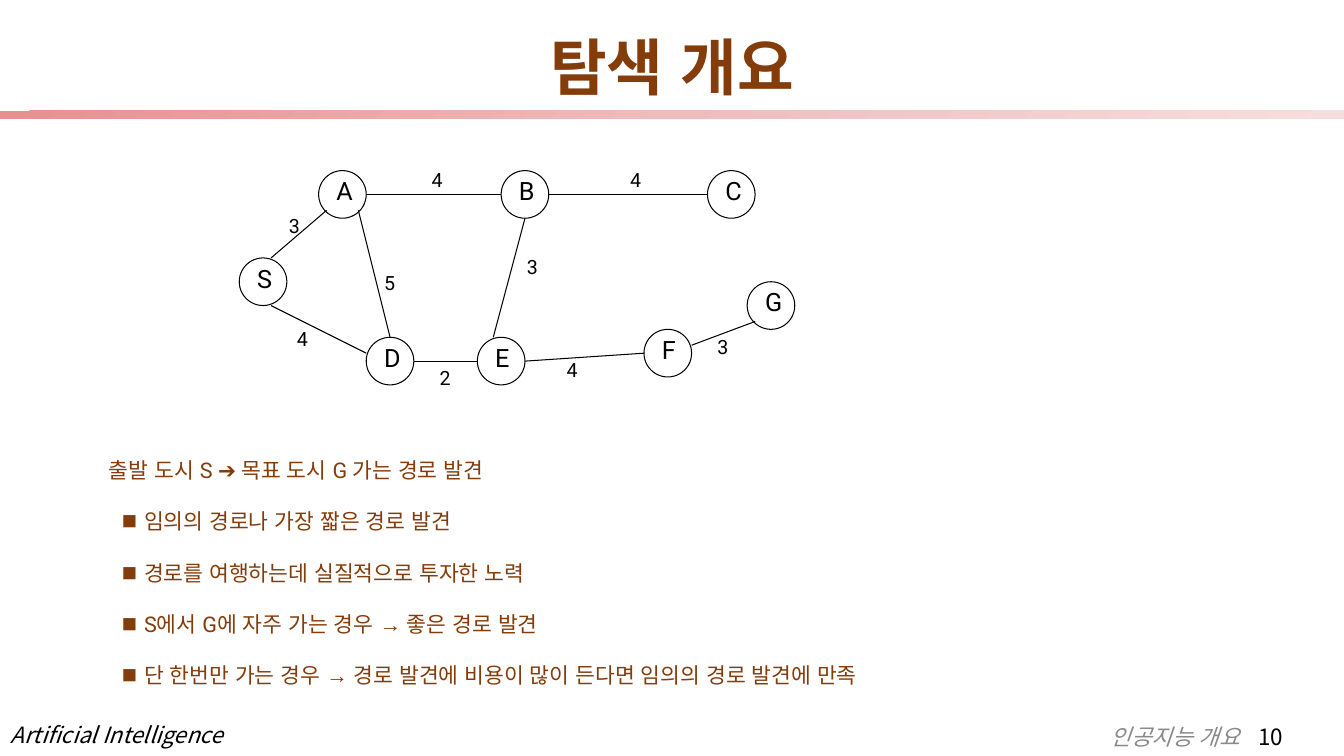
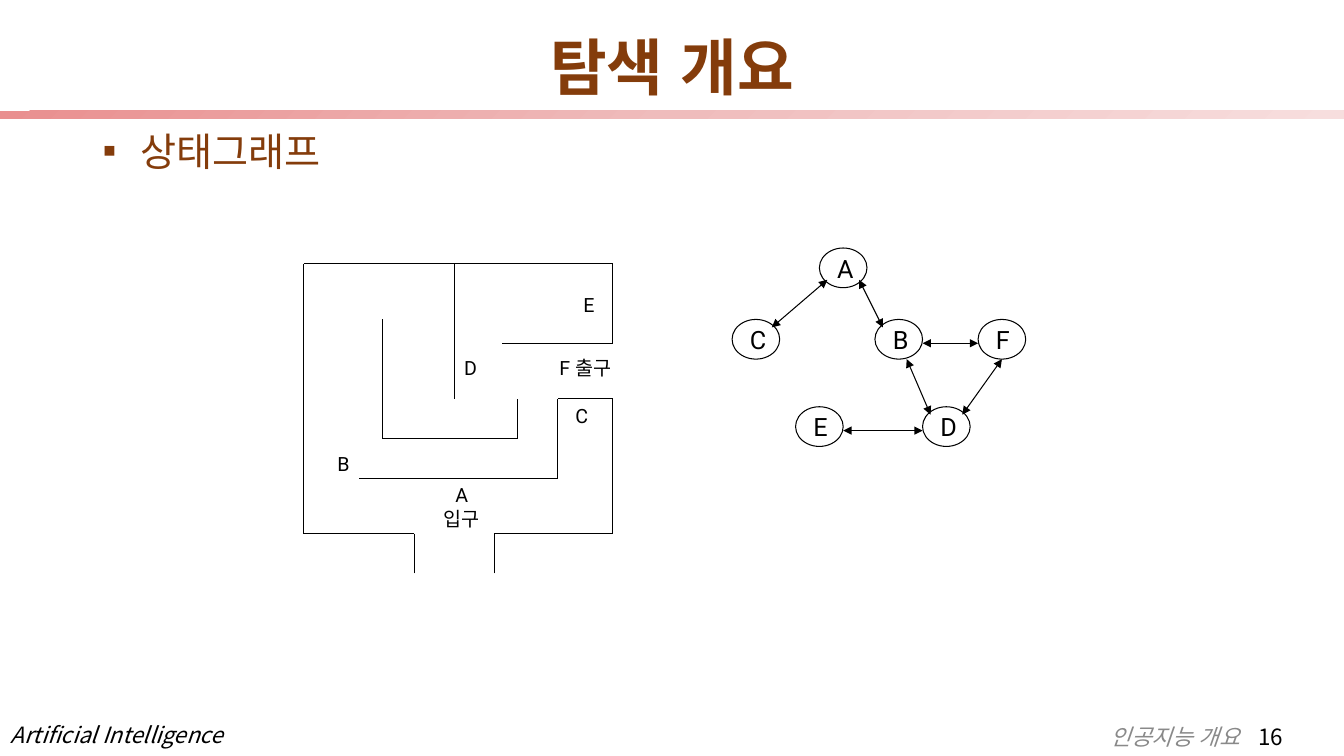
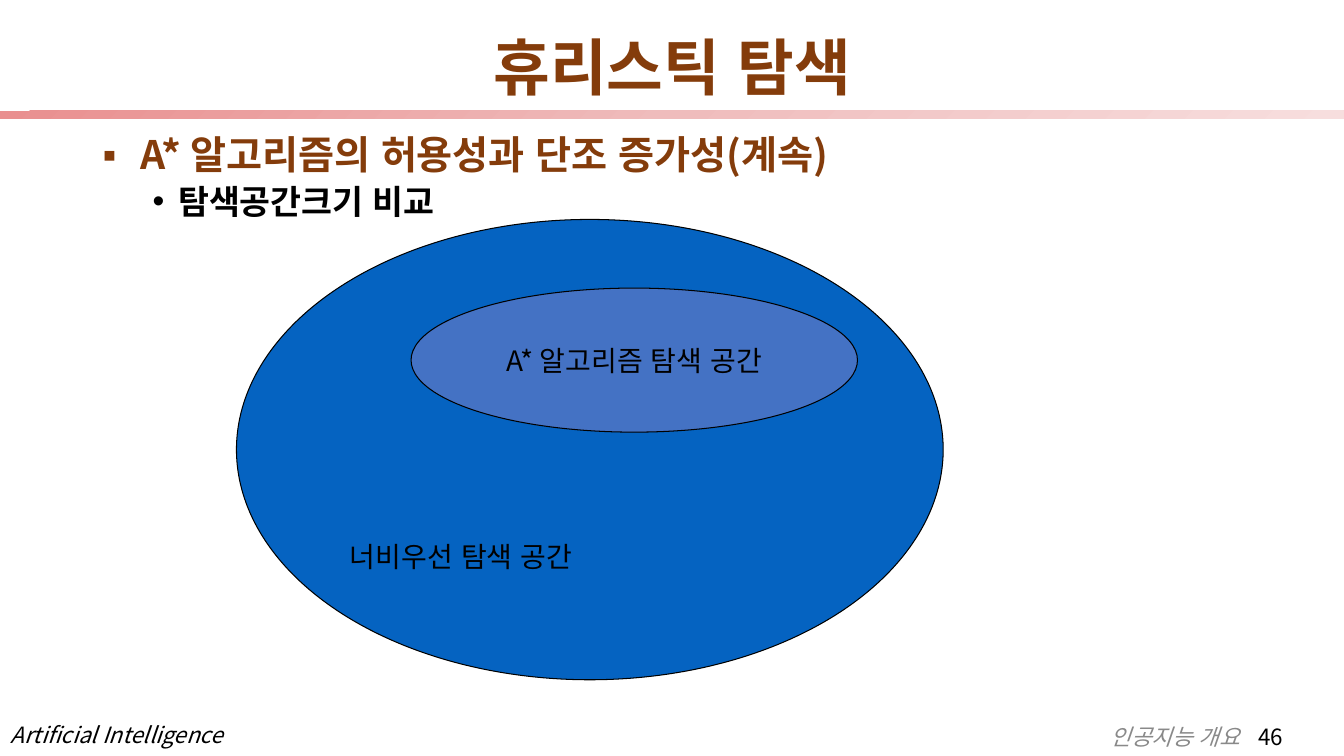
"""Builds three lecture slides on search: a city graph, a maze state graph and nested search spaces."""
import copy
import dataclasses
import typing

import pptx
import pptx.dml.color
import pptx.enum.dml
import pptx.enum.shapes
import pptx.enum.text
import pptx.oxml.ns
import pptx.presentation
import pptx.shapes.autoshape
import pptx.slide
import pptx.text.text
import pptx.util
from lxml import etree

Cm = pptx.util.Cm
Pt = pptx.util.Pt
RGBColor = pptx.dml.color.RGBColor
Align = pptx.enum.text.PP_ALIGN
Anchor = pptx.enum.text.MSO_ANCHOR
Shape = pptx.enum.shapes.MSO_SHAPE
qn = pptx.oxml.ns.qn
Point = typing.Tuple[float, float]
Frame = typing.Tuple[float, float, float, float]

BLACK = RGBColor(0x00, 0x00, 0x00)
BROWN = RGBColor(0x84, 0x3C, 0x0B)
GREY = RGBColor(0x89, 0x89, 0x89)
OUTER_BLUE = RGBColor(0x05, 0x63, 0xC1)
INNER_BLUE = RGBColor(0x44, 0x72, 0xC4)
BAND_STOPS = (
    (0.0, RGBColor(0xE9, 0x8F, 0x8F)),
    (0.5, RGBColor(0xEF, 0xBC, 0xBC)),
    (1.0, RGBColor(0xF7, 0xDE, 0xDE)),
)
KOREAN, LATIN, PLAIN = "Noto Sans CJK KR", "Roboto", "Arial"
SLIDE_WIDTH, SLIDE_HEIGHT = 33.87, 19.05
MARGIN, BODY_WIDTH = 2.34, 29.21


@dataclasses.dataclass(frozen=True)
class Style:
    size: float
    font: str = LATIN
    color: RGBColor = BLACK
    bold: bool = False
    italic: bool = False
    align: Align = Align.LEFT
    line_spacing: float = 1.0
    space_before: float = 0
    left: float = 0
    indent: float = 0
    bullet: str = ""
    bullet_percent: int = 100
    bullet_font: str = PLAIN


@dataclasses.dataclass(frozen=True)
class Node:
    name: str
    left: float
    top: float


@dataclasses.dataclass(frozen=True)
class Road:
    start: Point
    end: Point
    cost: str
    cost_at: Point


TITLE = Style(44, PLAIN, BROWN, bold=True, align=Align.CENTER, line_spacing=0.9)
FOOTER = Style(16, KOREAN, italic=True, line_spacing=0.9)
TOPIC = Style(28, KOREAN, BROWN, line_spacing=0.8, left=0.95, indent=-0.95, bullet="▪")
BOLD_TOPIC = dataclasses.replace(TOPIC, bold=True, line_spacing=0.9)
SUBTOPIC = Style(24, KOREAN, bold=True, line_spacing=0.9, space_before=5,
                 left=1.9, indent=-0.64, bullet="•")
QUESTION = Style(15.4, LATIN, BROWN, line_spacing=1.5, space_before=8.85, left=0.15)
ANSWER = dataclasses.replace(QUESTION, left=1.04, indent=-0.56, bullet="■",
                             bullet_percent=71, bullet_font=KOREAN)
NODE_NAME = Style(18)
SMALL = Style(14)
GATE = Style(14, align=Align.CENTER, line_spacing=0.6, space_before=7)
SPACE_NAME = Style(20, KOREAN)

CITIES = (
    Node("S", 6.03, 6.5), Node("A", 8.03, 4.3), Node("B", 12.63, 4.3), Node("C", 17.83, 4.3),
    Node("D", 9.23, 8.5), Node("E", 12.03, 8.5), Node("F", 16.23, 8.3), Node("G", 18.83, 7.1),
)
ROADS = (
    Road((6.83, 6.5), (8.23, 5.3), "3", (7.03, 5.27)),
    Road((6.83, 7.7), (9.23, 8.9), "4", (7.23, 8.11)),
    Road((9.23, 4.9), (12.63, 4.9), "4", (10.63, 4.1)),
    Road((10.43, 9.1), (12.03, 9.1), "2", (10.83, 9.1)),
    Road((13.83, 4.9), (17.83, 4.9), "4", (15.63, 4.1)),
    Road((13.23, 5.5), (12.43, 8.5), "3", (13.03, 6.3)),
    Road((13.23, 9.1), (16.23, 8.9), "4", (14.03, 8.9)),
    Road((17.43, 8.7), (19.03, 8.1), "3", (17.83, 8.32)),
    Road((9.03, 5.3), (9.83, 8.5), "5", (9.43, 6.7)),
)
MAZE_WALLS = (
    ((10.44, 14.45), (10.44, 13.45), (7.65, 13.45), (7.65, 6.65),
     (15.44, 6.65), (15.44, 8.65), (12.65, 8.65)),
    ((12.45, 14.45), (12.45, 13.45), (15.44, 13.45), (15.44, 10.05),
     (14.05, 10.05), (14.05, 12.05), (9.05, 12.05)),
    ((11.45, 6.65), (11.45, 10.05)),
    ((9.65, 8.05), (9.65, 11.05), (13.05, 11.05), (13.05, 10.05)),
)
MAZE_PLACES = (
    Node("B", 8.25, 11.26), Node("C", 14.25, 10.05), Node("D", 11.45, 8.85), Node("E", 14.45, 7.25),
)
STATES = (
    Node("A", 20.65, 6.25), Node("C", 18.45, 8.05), Node("B", 22.05, 8.05),
    Node("F", 24.65, 8.05), Node("D", 23.25, 10.25), Node("E", 20.05, 10.25),
)
MOVES = (
    ((20.85, 7.05), (19.45, 8.25)), ((21.65, 7.05), (22.25, 8.25)),
    ((23.25, 8.65), (24.65, 8.65)), ((22.85, 9.05), (23.45, 10.45)),
    ((25.25, 9.05), (24.25, 10.45)), ((21.25, 10.85), (23.25, 10.85)),
)


def add_bullet(paragraph: pptx.text.text._Paragraph, style: Style) -> None:
    properties = paragraph._p.get_or_add_pPr()
    properties.set("marL", str(Cm(style.left)))
    properties.set("indent", str(Cm(style.indent)))
    if style.bullet:
        etree.SubElement(properties, qn("a:buSzPct"), val=str(style.bullet_percent * 1000))
        etree.SubElement(properties, qn("a:buFont"), typeface=style.bullet_font)
        etree.SubElement(properties, qn("a:buChar"), char=style.bullet)


def set_font(font: pptx.text.text.Font, name: str, color: RGBColor, italic: bool) -> None:
    font.name, font.italic = name, italic
    font.color.rgb = color
    latin = font._element.find(qn("a:latin"))
    east_asian = etree.Element(qn("a:ea"), typeface=PLAIN)
    latin.addnext(east_asian)


def format_paragraph(paragraph: pptx.text.text._Paragraph, style: Style) -> None:
    paragraph.alignment = style.align
    paragraph.line_spacing = style.line_spacing
    paragraph.space_before = Pt(style.space_before)
    add_bullet(paragraph, style)
    paragraph.font.size, paragraph.font.bold = Pt(style.size), style.bold
    set_font(paragraph.font, style.font, style.color, style.italic)


def write(frame: pptx.text.text.TextFrame, lines: typing.Sequence[typing.Tuple[str, Style]],
          anchor: Anchor = Anchor.TOP) -> None:
    frame.word_wrap = True
    frame.vertical_anchor = anchor
    for index, (text, style) in enumerate(lines):
        paragraph = frame.add_paragraph() if index else frame.paragraphs[0]
        paragraph.add_run().text = text
        format_paragraph(paragraph, style)


def add_text(page: pptx.slide.Slide, place: Frame, *lines: typing.Tuple[str, Style],
             anchor: Anchor = Anchor.TOP) -> None:
    box = page.shapes.add_textbox(*map(Cm, place))
    write(box.text_frame, lines, anchor)


def add_outline(page: pptx.slide.Slide, kind: Shape, place: Frame,
                fill: typing.Optional[RGBColor] = None) -> pptx.shapes.autoshape.Shape:
    shape = page.shapes.add_shape(kind, *map(Cm, place))
    shape.shadow.inherit = False
    shape.line.color.rgb = BLACK
    shape.line.width = Pt(0.75)
    if fill is None:
        shape.fill.background()
    else:
        shape.fill.solid()
        shape.fill.fore_color.rgb = fill
    return shape


def add_line(page: pptx.slide.Slide, start: Point, end: Point, arrows: bool = False) -> None:
    line = page.shapes.add_connector(
        pptx.enum.shapes.MSO_CONNECTOR.STRAIGHT, *map(Cm, start + end))
    line.line.color.rgb = BLACK
    line.line.width = Pt(0.75)
    if arrows:
        for tag in ("a:headEnd", "a:tailEnd"):
            etree.SubElement(line.line._get_or_add_ln(), qn(tag), type="triangle")
    etree.SubElement(line._element.spPr, qn("a:effectLst"))


def add_node(page: pptx.slide.Slide, node: Node, kind: Shape, height: float) -> None:
    add_outline(page, kind, (node.left, node.top, 1.2, height))
    add_text(page, (node.left + 0.2, node.top, 1.0, 1.02), (node.name, NODE_NAME))


def add_band(page: pptx.slide.Slide) -> None:
    band = page.shapes.add_shape(Shape.RECTANGLE, 0, Cm(2.79), Cm(SLIDE_WIDTH), Cm(0.2))
    band.shadow.inherit = False
    band.line.fill.background()
    band.fill.gradient()
    band.fill.gradient_angle = 315
    stop_list = band._element.spPr.find(".//" + qn("a:gsLst"))
    stop_list.insert(1, copy.deepcopy(stop_list[0]))
    for stop, (position, color) in zip(band.fill.gradient_stops, BAND_STOPS):
        stop.position = position
        stop.color.rgb = color


def add_page_number(page: pptx.slide.Slide, number: int) -> None:
    box = page.shapes.add_textbox(Cm(27.74), Cm(18.18), Cm(5.38), Cm(0.86))
    box.text_frame.word_wrap = True
    paragraph = box.text_frame.paragraphs[0]
    paragraph.line_spacing = 0.9
    tabs = etree.SubElement(paragraph._p.get_or_add_pPr(), qn("a:tabLst"))
    etree.SubElement(tabs, qn("a:tab"), pos=str(Cm(3.72)), algn="l")
    paragraph.font.size = Pt(16)
    parts = (("인공지능 개요\t", PLAIN, GREY, True), (str(number), KOREAN, BLACK, False))
    for text, name, color, italic in parts:
        span = paragraph.add_run()
        span.text = text
        set_font(span.font, name, color, italic)


def add_page(deck: pptx.presentation.Presentation, title: str, number: int) -> pptx.slide.Slide:
    page = deck.slides.add_slide(deck.slide_layouts[6])
    add_text(page, (0.02, 18.13, 5.89, 0.86), ("Artificial Intelligence", FOOTER))
    add_band(page)
    add_page_number(page, number)
    add_text(page, (MARGIN, 1.02, BODY_WIDTH, 1.52), (title, TITLE), anchor=Anchor.MIDDLE)
    return page


def build_city_graph(deck: pptx.presentation.Presentation) -> None:
    page = add_page(deck, "탐색 개요", 10)
    add_text(
        page, (MARGIN, 11.07, BODY_WIDTH, 7.04),
        ("출발 도시 S ➔ 목표 도시 G 가는 경로 발견", QUESTION),
        ("임의의 경로나 가장 짧은 경로 발견", ANSWER),
        ("경로를 여행하는데 실질적으로 투자한 노력", ANSWER),
        ("S에서 G에 자주 가는 경우 → 좋은 경로 발견", ANSWER),
        ("단 한번만 가는 경우 → 경로 발견에 비용이 많이 든다면 임의의 경로 발견에 만족", ANSWER),
    )
    for city in CITIES:
        add_node(page, city, Shape.OVAL, 1.2)
    for road in ROADS:
        add_line(page, road.start, road.end)
        add_text(page, road.cost_at + (1.0, 0.84), (road.cost, SMALL))


def build_state_graph(deck: pptx.presentation.Presentation) -> None:
    page = add_page(deck, "탐색 개요", 16)
    add_text(page, (MARGIN, 3.3, BODY_WIDTH, 14.83), ("상태그래프", TOPIC))
    for wall in MAZE_WALLS:
        for start, end in zip(wall, wall[1:]):
            add_line(page, start, end)
    add_text(page, (10.64, 12.25, 2.0, 1.27), ("A", GATE), ("입구", GATE))
    add_text(page, (13.05, 9.05, 3.4, 0.61), ("F 출구", GATE))
    for place in MAZE_PLACES:
        add_text(page, (place.left, place.top, 1.0, 0.84), (place.name, SMALL))
    for state in STATES:
        add_node(page, state, Shape.FLOWCHART_CONNECTOR, 1.0)
    for start, end in MOVES:
        add_line(page, start, end, arrows=True)


def build_search_spaces(deck: pptx.presentation.Presentation) -> None:
    page = add_page(deck, "휴리스틱 탐색", 46)
    add_text(
        page, (MARGIN, 3.3, BODY_WIDTH, 14.83),
        ("A* 알고리즘의 허용성과 단조 증가성(계속)", BOLD_TOPIC),
        ("탐색공간크기 비교", SUBTOPIC),
    )
    breadth_first = add_outline(page, Shape.OVAL, (5.96, 5.53, 17.81, 11.6), OUTER_BLUE)
    breadth_first.text_frame.margin_bottom = Cm(1)
    write(breadth_first.text_frame, [("너비우선 탐색 공간", SPACE_NAME)], Anchor.BOTTOM)
    a_star = add_outline(page, Shape.OVAL, (10.36, 7.26, 11.25, 3.63), INNER_BLUE)
    centred = dataclasses.replace(SPACE_NAME, align=Align.CENTER)
    write(a_star.text_frame, [("A* 알고리즘 탐색 공간", centred)], Anchor.MIDDLE)


def main() -> None:
    deck = pptx.Presentation()
    deck.slide_width, deck.slide_height = Cm(SLIDE_WIDTH), Cm(SLIDE_HEIGHT)
    build_city_graph(deck)
    build_state_graph(deck)
    build_search_spaces(deck)
    deck.save("out.pptx")


main()
